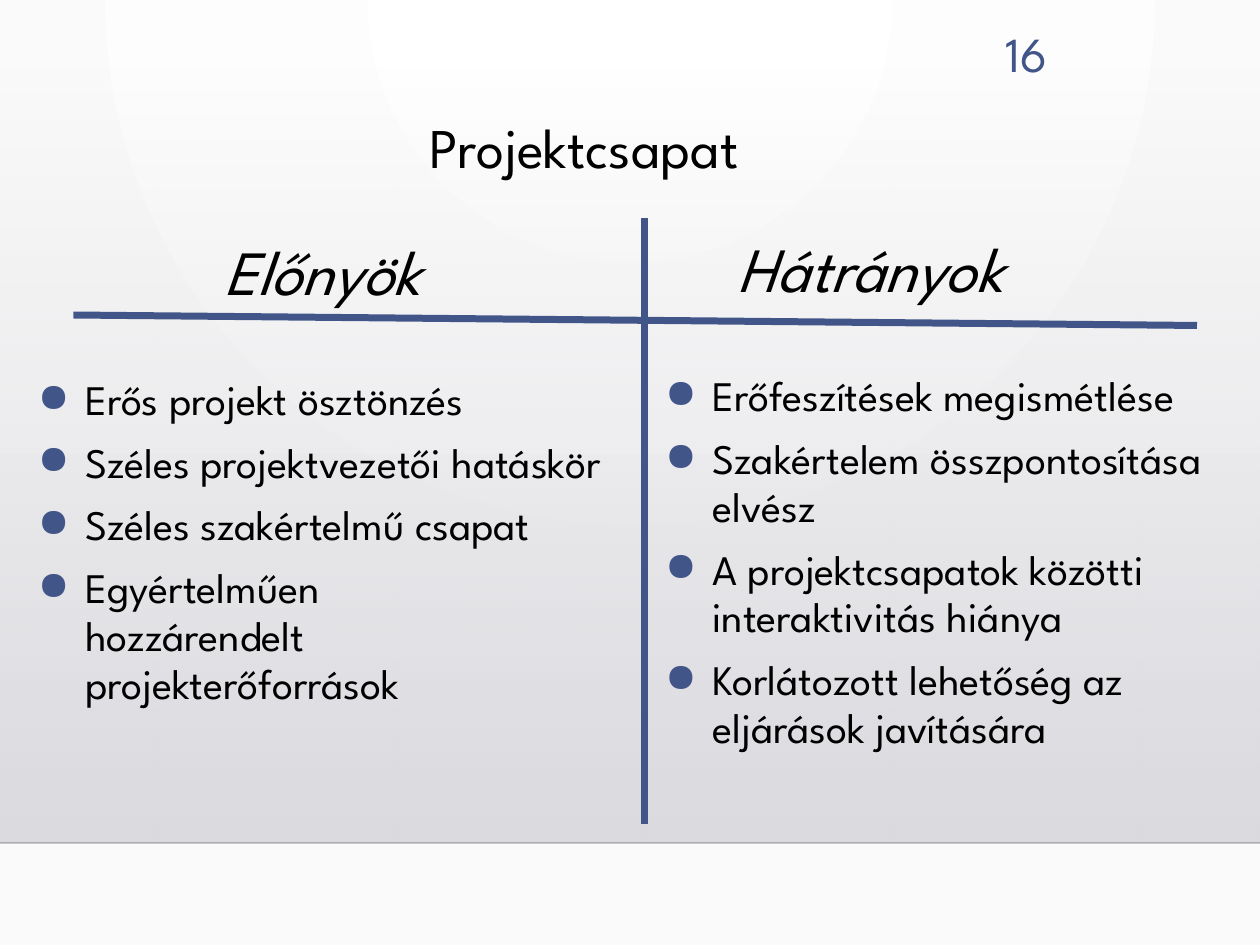
from lxml.etree import SubElement
from pptx import Presentation
from pptx.dml.color import RGBColor
from pptx.enum.shapes import MSO_CONNECTOR, MSO_SHAPE
from pptx.enum.text import PP_ALIGN
from pptx.oxml.ns import qn
from pptx.util import Pt

BLUE = "415588"


def color(value):
    return RGBColor.from_string(value)


def add_text(text, left, top, width, height, size=24, ink="000000", italic=False,
             align=PP_ALIGN.LEFT, line_spacing=1.0, bullet=False):
    frame = slide.shapes.add_textbox(Pt(left), Pt(top), Pt(width), Pt(height)).text_frame
    frame.word_wrap = True
    for index, line in enumerate(text.split("\n")):
        paragraph = frame.paragraphs[0] if index == 0 else frame.add_paragraph()
        paragraph.text = line
        paragraph.alignment = align
        paragraph.line_spacing = line_spacing
        if bullet:
            paragraph.space_before = Pt(6 if index else 0)
            paragraph.space_after = Pt(2.4)
            properties = paragraph._p.get_or_add_pPr()
            properties.set("marL", str(Pt(27)))
            properties.set("indent", str(-Pt(27)))
            bullet_color = SubElement(properties, qn("a:buClr"))
            SubElement(bullet_color, qn("a:srgbClr"), val=BLUE)
            SubElement(properties, qn("a:buSzPct"), val="95000")
            SubElement(properties, qn("a:buChar"), char="●")
        for run in paragraph.runs:
            run.font.name = "League Spartan"
            run.font.size = Pt(size)
            run.font.italic = italic
            run.font.color.rgb = color(ink)


presentation = Presentation()
presentation.slide_width, presentation.slide_height = Pt(720), Pt(540)
slide = presentation.slides.add_slide(presentation.slide_layouts[6])

# Background: circular glow from the top centre
glow = slide.background.fill
glow.gradient()
for stop, shade in zip(glow.gradient_stops, ("FFFFFF", "FAFAFA")):
    stop.color.rgb = color(shade)
glow_xml = next(slide.element.iter(qn("a:gradFill")))
glow_xml.remove(glow_xml.find(qn("a:lin")))
glow_path = SubElement(glow_xml, qn("a:path"), path="circle")
SubElement(glow_path, qn("a:fillToRect"), l="43000", t="0", r="43000", b="100000")

# Grey panel that fades out towards the top
panel = slide.shapes.add_shape(MSO_SHAPE.RECTANGLE, 0, Pt(36.7), Pt(720), Pt(445))
panel.shadow.inherit = False
panel.line.fill.background()
panel.fill.gradient()
panel.fill.gradient_angle = 270
for stop, shade in zip(panel.fill.gradient_stops, ("DEDEE2", "DADADF")):
    stop.color.rgb = color(shade)
top_shade = next(panel._element.iter(qn("a:srgbClr")))
SubElement(top_shade, qn("a:alpha"), val="0")

# Panel edge, then the two axes of the comparison
for x1, y1, x2, y2, ink, weight, opacity in (
    (0, 481.7, 720, 481.7, "000001", 1, 20),
    (42, 180, 684, 186, BLUE, 4, 100),
    (368.5, 124.5, 368.5, 471, BLUE, 4, 100),
):
    rule = slide.shapes.add_connector(
        MSO_CONNECTOR.STRAIGHT, Pt(x1), Pt(y1), Pt(x2), Pt(y2))
    rule.line.color.rgb = color(ink)
    rule.line.width = Pt(weight)
    if opacity < 100:
        rule_shade = next(rule._element.iter(qn("a:srgbClr")))
        SubElement(rule_shade, qn("a:alpha"), val=str(opacity * 1000))
    SubElement(rule._element.spPr, qn("a:effectLst"))

# Slide number and title
add_text("16", 543, 10, 62.5, 40, size=28, ink=BLUE, align=PP_ALIGN.RIGHT)
add_text("Projektcsapat", 238.5, 65, 249, 83, size=32, line_spacing=0.9)

# Column headings
for heading, left, top, width in (
    ("Előnyök", 3.5, 136, 361.5),
    ("Hátrányok", 324, 134, 346.5),
):
    add_text(heading, left, top, width, 44, size=36, italic=True,
             align=PP_ALIGN.CENTER, line_spacing=0.85)

# Advantages and drawbacks; \v is a line break inside a point
advantages = """Erős projekt ösztönzés
Széles projektvezetői hatáskör
Széles szakértelmű csapat
Egyértelműen\vhozzárendelt\vprojekterőforrások"""
drawbacks = """Erőfeszítések megismétlése
Szakértelem összpontosítása elvész
A projektcsapatok közötti interaktivitás hiánya
Korlátozott lehetőség az eljárások javítására"""
for points, left, top, width, height in (
    (advantages, 14.5, 212, 353, 229),
    (drawbacks, 373, 210, 345.5, 256),
):
    add_text(points, left, top, width, height, line_spacing=0.95, bullet=True)

presentation.save("out.pptx")
